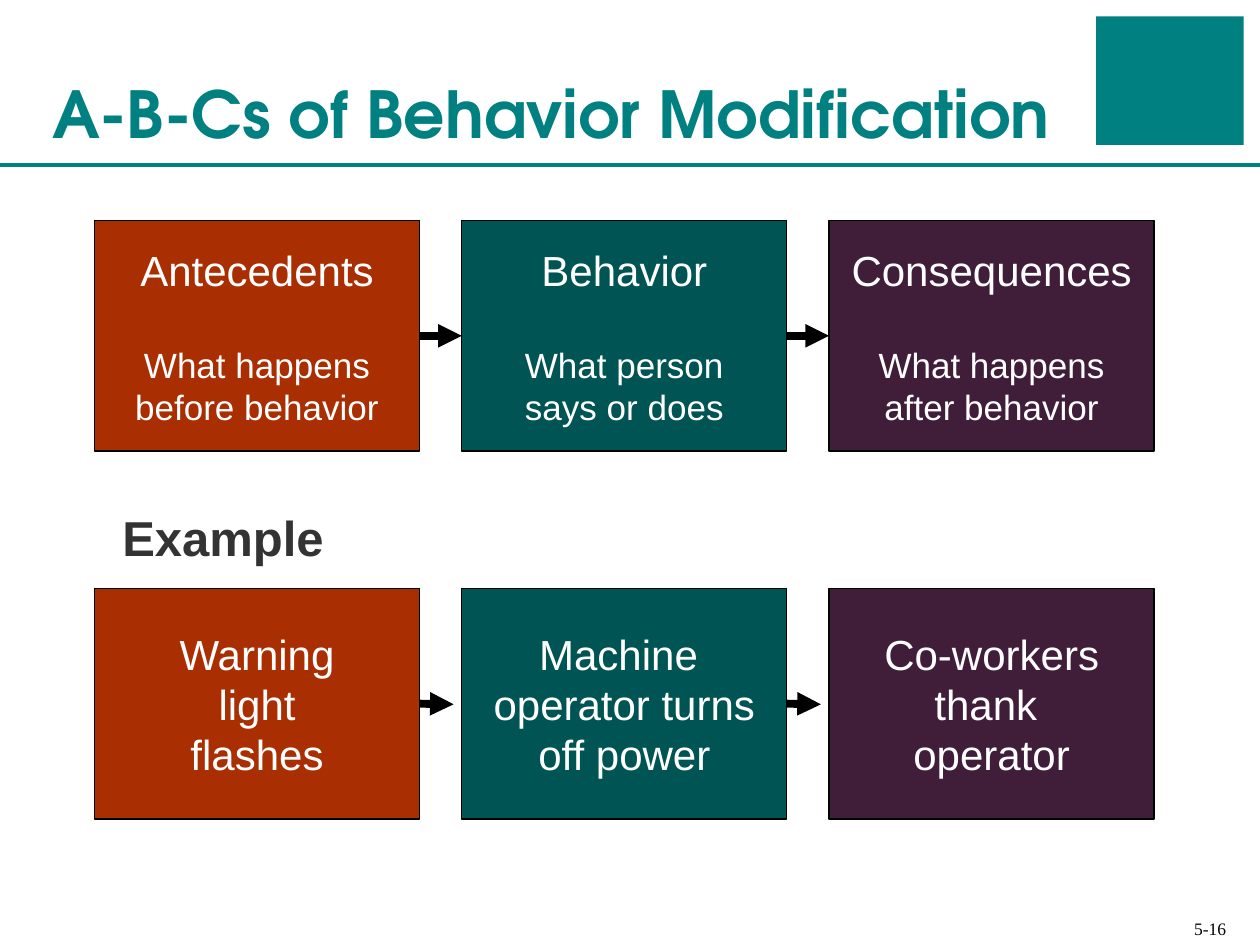
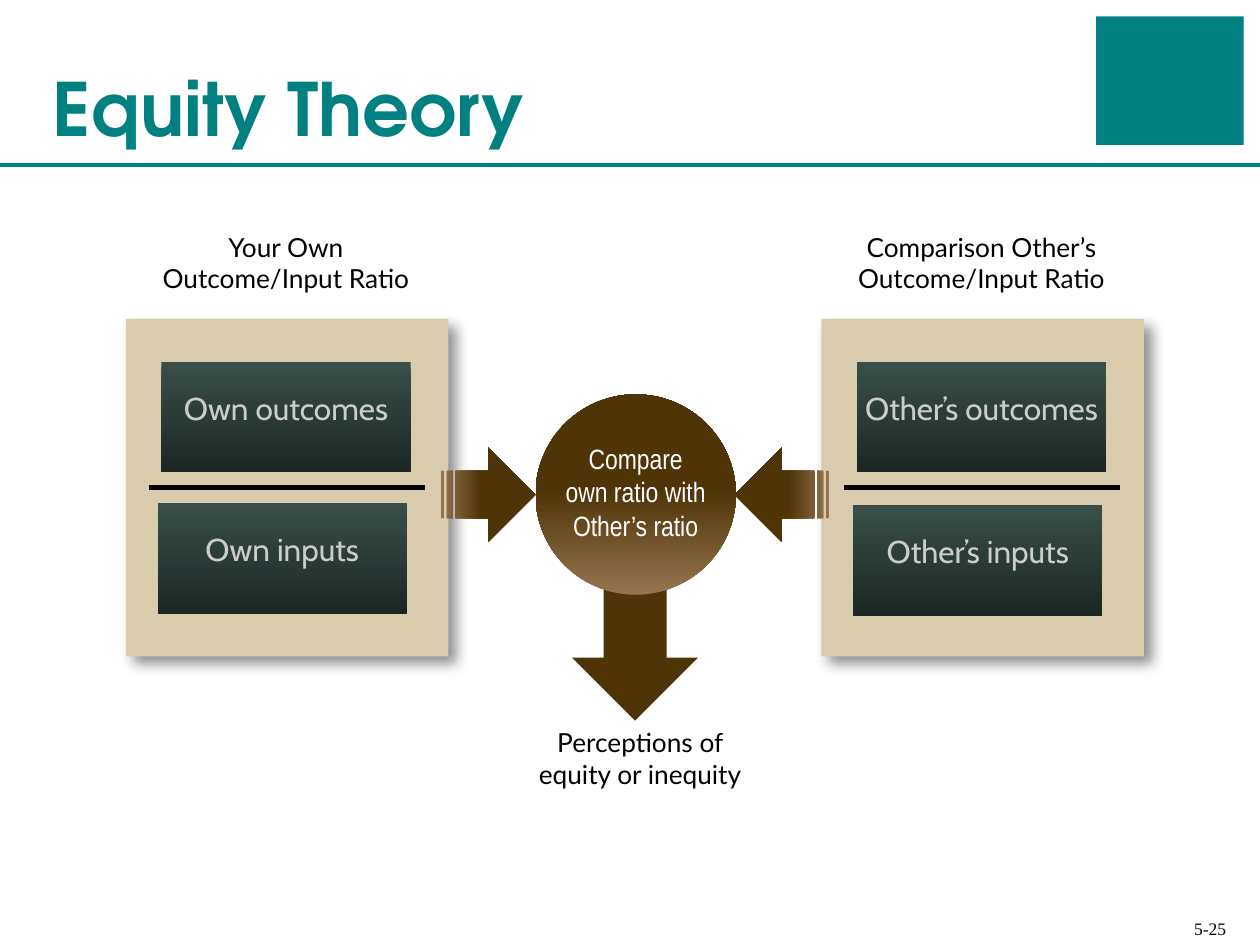
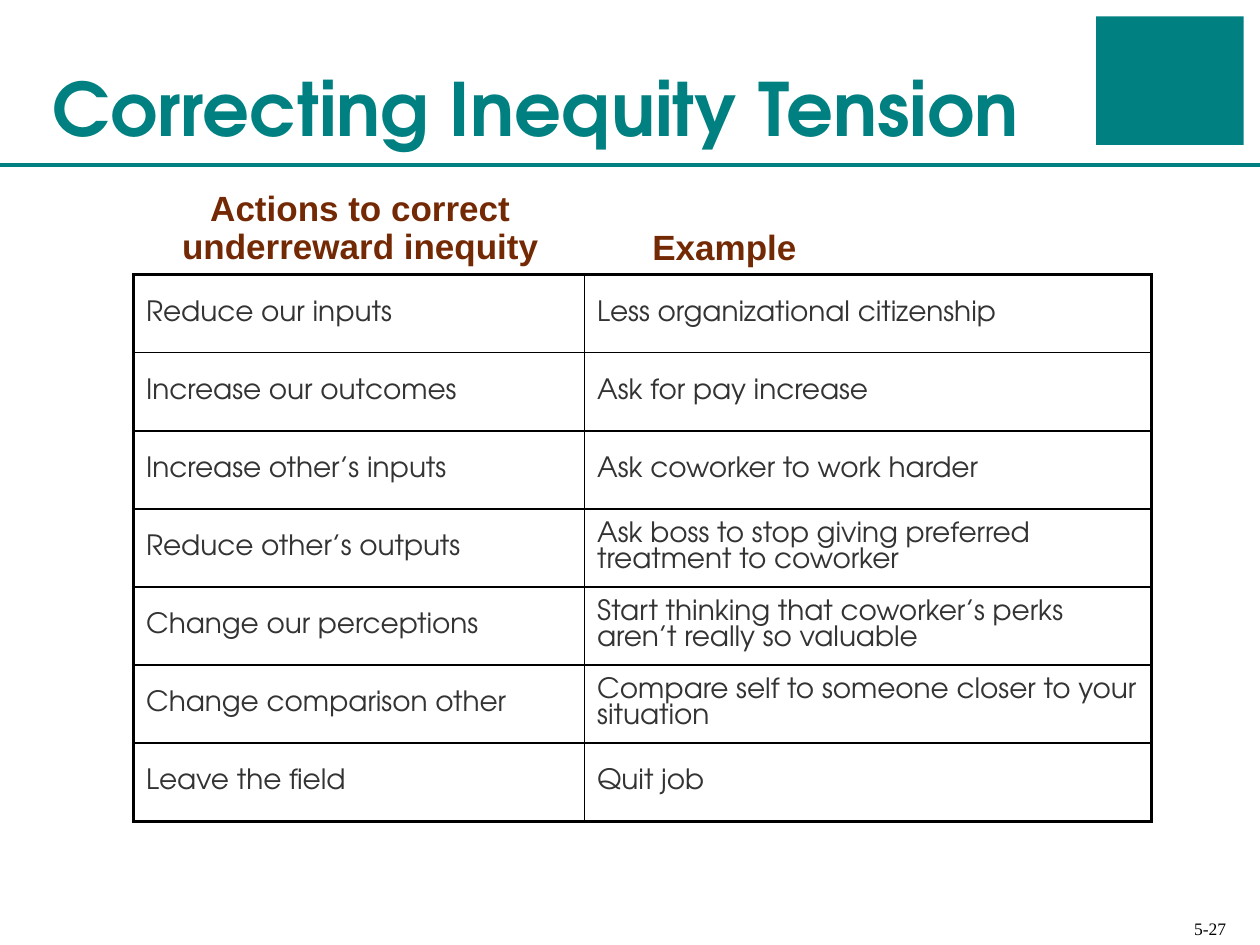
from copy import deepcopy

from lxml.etree import SubElement
from pptx import Presentation
from pptx.dml.color import RGBColor
from pptx.enum.shapes import MSO_CONNECTOR, MSO_SHAPE
from pptx.enum.text import MSO_ANCHOR, MSO_AUTO_SIZE, PP_ALIGN
from pptx.oxml.ns import qn
from pptx.util import Inches, Pt

# Shared colours and fonts
TEAL, BLACK, WHITE, CHARCOAL = "008080", "000000", "FFFFFF", "333333"
RUST, PINE, PLUM, BROWN = "A92E01", "005454", "401E3A", "742905"
SAND, SLATE, INK = "D9CCAD", "3A4F49", "1C2724"
TAN, UMBER, SILVER = "967450", "4E3406", "CCCCCC"
DISPLAY = "TeX Gyre Adventor"

LABEL = {"size": 15, "name": "Lato", "color": BLACK}
STEP = {"size": 24, "name": "Arial", "color": WHITE}
HEADING = {"size": 20, "name": "Arial", "color": BROWN, "bold": True}
SECTION = {"size": 28, "name": "Arial", "color": CHARCOAL, "bold": True}
RATIO_PART = {"size": 18, "name": "Cabin", "color": SILVER}
COMPARE = {"size": 16, "name": "Arial Narrow", "color": WHITE}
CELL = {"size": 16, "name": DISPLAY, "color": CHARCOAL}
NUMBER = {"size": 10, "name": "Times New Roman", "color": BLACK}


def rgb(value):
    return RGBColor.from_string(value)


def format_font(font, style):
    for key, value in style.items():
        if key == "color":
            font.color.rgb = rgb(value)
        else:
            setattr(font, key, Pt(value) if key == "size" else value)


def write(frame, lines, style, align=PP_ALIGN.CENTER):
    """Write one paragraph per line; a newline within one is a line break."""
    for index, line in enumerate(lines):
        paragraph = frame.add_paragraph() if index else frame.paragraphs[0]
        paragraph.text = line
        paragraph.alignment = align
        for run in paragraph.runs:
            format_font(run.font, style)
        for line_break in paragraph._p.findall(qn("a:br")):
            line_break.append(deepcopy(paragraph.runs[0]._r.rPr))


def set_frame(frame, anchor=MSO_ANCHOR.MIDDLE, wrap=True, insets=None):
    values = {"vertical_anchor": anchor, "word_wrap": wrap, "auto_size": MSO_AUTO_SIZE.NONE}
    if insets is not None:
        sides = ("left", "top", "right", "bottom")
        values.update({f"margin_{side}": Inches(gap) for side, gap in zip(sides, insets)})
    for key, value in values.items():
        setattr(frame, key, value)


def add_text(slide, box, lines, style, align=PP_ALIGN.CENTER, **frame_format):
    frame = slide.shapes.add_textbox(*map(Inches, box)).text_frame
    set_frame(frame, **frame_format)
    write(frame, lines, style, align)
    return frame


def add_block(slide, kind, box, fill, outline=None):
    block = slide.shapes.add_shape(kind, *map(Inches, box))
    block.shadow.inherit = False
    block.fill.solid()
    block.fill.fore_color.rgb = rgb(fill)
    if outline:
        block.line.color.rgb = rgb(outline)
        block.line.width = Pt(0.75)
    else:
        block.line.fill.background()
    return block


def add_gradient_block(slide, kind, box, start, end, end_at=1, angle=0):
    block = add_block(slide, kind, box, end)
    block.fill.gradient()
    block.fill.gradient_angle = angle
    for stop, color, position in zip(block.fill.gradient_stops, (start, end), (0, end_at)):
        stop.color.rgb = rgb(color)
        stop.position = position
    return block


def add_line(slide, start, end, color, width, arrow=False):
    line = slide.shapes.add_connector(MSO_CONNECTOR.STRAIGHT, *map(Inches, start + end))
    line.line.color.rgb = rgb(color)
    line.line.width = Pt(width)
    if arrow:
        SubElement(line.line._get_or_add_ln(), qn("a:tailEnd"), type="triangle")
    SubElement(line._element.spPr, qn("a:effectLst"))
    return line


def add_slide(prs, title, number, title_size=42):
    """Start a slide with the shared corner block, rule, title and number."""
    slide = prs.slides.add_slide(prs.slide_layouts[5])
    add_block(slide, MSO_SHAPE.RECTANGLE, (8.7, 0.13, 1.17, 1.02), TEAL)
    add_line(slide, (0, 1.31), (10, 1.31), TEAL, 2.5)
    add_text(slide, (7.43, 7.12, 2.4, 0.38), [number], NUMBER,
             PP_ALIGN.RIGHT, anchor=MSO_ANCHOR.BOTTOM)
    heading = slide.shapes.title
    for key, value in zip(("left", "top", "width", "height"), (0.32, 0, 8.3, 1.25)):
        setattr(heading, key, Inches(value))
    set_frame(heading.text_frame, MSO_ANCHOR.BOTTOM)
    style = {"size": title_size, "name": DISPLAY, "color": TEAL, "bold": True}
    write(heading.text_frame, [title], style, PP_ALIGN.LEFT)
    return slide


# Slide 1: chains of steps
def add_step(slide, column, top, fill, lines, headed):
    box = (0.75 + column * 2.915, top, 2.58, 1.83)
    step = add_block(slide, MSO_SHAPE.RECTANGLE, box, fill, BLACK)
    set_frame(step.text_frame, wrap=False)
    write(step.text_frame, lines, STEP)
    if headed:
        heading, *details = step.text_frame.paragraphs
        heading.space_after = Pt(27.5)
        for detail in details:
            format_font(detail.runs[0].font, {"size": 20})
    return step


def add_chain(slide, top, texts, headed):
    steps = [add_step(slide, column, top, fill, lines, headed)
             for column, (fill, lines) in enumerate(zip((RUST, PINE, PLUM), texts))]
    for column, (cause, effect) in enumerate(zip(steps, steps[1:])):
        left, middle = 3.33 + column * 2.915, top + 0.92
        arrow = add_line(slide, (left, middle), (left + 0.27, middle), BLACK, 4.5, arrow=True)
        arrow.begin_connect(cause, 3)
        if headed:
            arrow.end_connect(effect, 1)


def build_behavior(prs):
    slide = add_slide(prs, "A-B-Cs of Behavior Modification", "5-16", 37)
    add_chain(slide, 1.75, [
        ("Antecedents", "What happens", "before behavior"),
        ("Behavior", "What person", "says or does"),
        ("Consequences", "What happens", "after behavior"),
    ], headed=True)
    add_text(slide, (0.87, 3.98, 1.8, 0.56), ["Example"], SECTION, wrap=False)
    add_chain(slide, 4.67, [
        ("Warning", "light", "flashes"),
        ("Machine ", "operator turns", "off power"),
        ("Co-workers", "thank ", "operator"),
    ], headed=False)


# Slide 2: two ratios compared
def add_panel_shadow(panel):
    effects = panel._element.spPr.find(qn("a:effectLst"))
    shadow = SubElement(effects, qn("a:outerShdw"), blurRad=str(Pt(8)), dist=str(Pt(6)),
                        dir=str(45 * 60000), algn="tl", rotWithShape="0")
    color = SubElement(shadow, qn("a:srgbClr"), val=BLACK)
    SubElement(color, qn("a:alpha"), val="43000")


def add_ratio(slide, left, caption, outcomes, inputs, inputs_top):
    add_text(slide, (left + 0.19, 1.8, 2.16, 0.57), [caption], LABEL, insets=(0, 0, 0, 0))
    panel = add_block(slide, MSO_SHAPE.RECTANGLE, (left, 2.53, 2.56, 2.68), SAND)
    add_panel_shadow(panel)
    for name, indent, top in ((outcomes, 0.28, 2.87), (inputs, 0.25, inputs_top)):
        part = add_gradient_block(slide, MSO_SHAPE.RECTANGLE, (left + indent, top, 1.98, 0.88),
                                  SLATE, INK, angle=270)
        set_frame(part.text_frame, insets=(0, 0, 0, 0.15))
        write(part.text_frame, [name], RATIO_PART)
    add_line(slide, (left + 0.18, 3.87), (left + 2.37, 3.87), BLACK, 3)


def build_equity(prs):
    slide = add_slide(prs, "Equity Theory", "5-25")
    add_block(slide, MSO_SHAPE.DOWN_ARROW, (4.54, 4.55, 1, 1.17), UMBER)
    add_ratio(slide, 1, "Your Own\nOutcome/Input Ratio", "Own outcomes", "Own inputs", 3.99)
    add_ratio(slide, 6.52, "Comparison Other’s\nOutcome/Input Ratio",
              "Other’s outcomes", "Other’s inputs", 4.01)

    comparison = add_gradient_block(slide, MSO_SHAPE.OVAL, (4.25, 3.13, 1.59, 1.59),
                                    TAN, UMBER, end_at=0.53, angle=90)
    set_frame(comparison.text_frame, insets=(0, 0, 0, 0.05))
    write(comparison.text_frame, ["Compare own ratio with Other’s ratio"], COMPARE)
    for left, flipped in ((3.5, False), (5.83, True)):
        arrow = add_gradient_block(slide, MSO_SHAPE.STRIPED_RIGHT_ARROW,
                                   (left, 3.55, 0.75, 0.75), TAN, UMBER, end_at=0.43)
        if flipped:
            arrow._element.spPr.xfrm.set("flipH", "1")
    add_text(slide, (4.24, 5.61, 1.68, 0.81), ["Perceptions of equity or inequity"],
             LABEL, insets=(0, 0, 0, 0))


# Slide 3: table of actions
def set_borders(cell, widths):
    for side, width in widths.items():
        border = SubElement(cell._tc.get_or_add_tcPr(), qn(f"a:ln{side}"), w=str(Pt(width)))
        SubElement(SubElement(border, qn("a:solidFill")), qn("a:srgbClr"), val=BLACK)


def add_action_table(slide, rows):
    box = map(Inches, (1.06, 2.18, 8.08, 0.62 * len(rows)))
    table = slide.shapes.add_table(len(rows), 2, *box).table
    table.first_row = table.horz_banding = False
    for column, width in zip(table.columns, (3.58, 4.5)):
        column.width = Inches(width)
    outer, inner = 2.25, 1
    for r, row in enumerate(rows):
        for c, text in enumerate(row):
            cell = table.cell(r, c)
            set_borders(cell, {
                "L": outer if c == 0 else inner,
                "R": outer if c == len(row) - 1 else inner,
                "T": outer if r == 0 else inner,
                "B": outer if r == len(rows) - 1 else inner,
            })
            cell.fill.background()
            cell.vertical_anchor = MSO_ANCHOR.MIDDLE
            write(cell.text_frame, [text], CELL, PP_ALIGN.LEFT)


def build_tension(prs):
    slide = add_slide(prs, "Correcting Inequity Tension", "5-27")
    add_action_table(slide, [
        ("Reduce our inputs", "Less organizational citizenship"),
        ("Increase our outcomes", "Ask for pay increase"),
        ("Increase other’s inputs", "Ask coworker to work harder"),
        ("Reduce other’s outputs", "Ask boss to stop giving preferred treatment to coworker"),
        ("Change our perceptions",
         "Start thinking that coworker’s perks aren’t really so valuable"),
        ("Change comparison other", "Compare self to someone closer to your situation"),
        ("Leave the field", "Quit job"),
    ])
    actions = add_text(slide, (1.28, 1.47, 3.16, 0.71),
                       ["Actions to correct\nunderreward inequity"], HEADING,
                       anchor=MSO_ANCHOR.TOP, wrap=False)
    actions.paragraphs[0].line_spacing = 0.9
    add_text(slide, (5.08, 1.74, 1.34, 0.43), ["Example"], HEADING, wrap=False)


def main():
    prs = Presentation()
    prs.slide_width, prs.slide_height = Inches(10), Inches(7.5)
    build_behavior(prs)
    build_equity(prs)
    build_tension(prs)
    prs.save("out.pptx")


if __name__ == "__main__":
    main()
